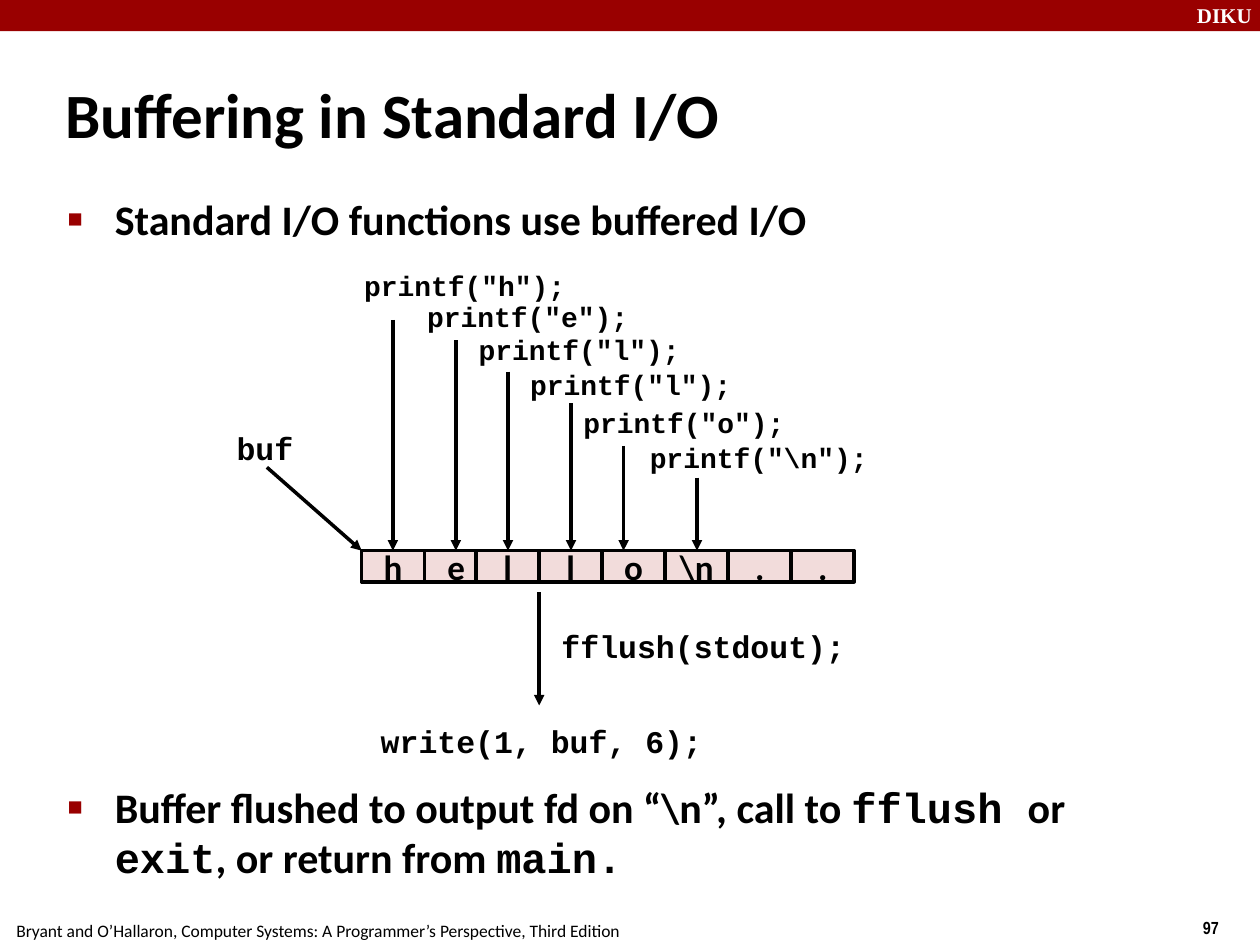
from lxml.etree import SubElement
from pptx import Presentation
from pptx.dml.color import RGBColor
from pptx.enum.shapes import MSO_CONNECTOR as Connector, MSO_SHAPE as Shape
from pptx.enum.text import MSO_ANCHOR as Anchor, MSO_AUTO_SIZE as AutoSize, PP_ALIGN as Align
from pptx.oxml.ns import qn
from pptx.util import Cm, Pt

RED = RGBColor(0x99, 0x00, 0x00)
PINK = RGBColor(0xF2, 0xDC, 0xDB)
BLACK = RGBColor(0, 0, 0)
WHITE = RGBColor(255, 255, 255)
SANS, CODE = "Calibri", "Courier New"


class SlideWriter:
    """Holds the style and the current slide; lengths are in centimetres."""

    def __init__(self, slide):
        self.slide = slide
        self.shapes = slide.shapes

    def style(self, paragraph, size, font=SANS, color=BLACK, bold=True, align=Align.LEFT):
        paragraph.alignment = align
        paragraph.font.name = font
        paragraph.font.size = Pt(size)
        paragraph.font.bold = bold
        paragraph.font.color.rgb = color

    def place(self, shape, left, top, width, height):
        shape.left, shape.top = Cm(left), Cm(top)
        shape.width, shape.height = Cm(width), Cm(height)

    def title(self, text, *box):
        heading = self.shapes.title
        self.place(heading, *box)
        frame = heading.text_frame
        frame.text = text
        frame.auto_size = AutoSize.NONE
        frame.vertical_anchor = Anchor.MIDDLE
        self.style(frame.paragraphs[0], 36)

    def bullets(self, items, gap, *box):
        """Each item is a list of (text, font) runs."""
        body = self.slide.placeholders[1]
        self.place(body, *box)
        frame = body.text_frame
        frame.auto_size = AutoSize.NONE
        for index, runs in enumerate(items):
            paragraph = frame.add_paragraph() if index else frame.paragraphs[0]
            self.square_bullet(paragraph)
            paragraph.space_before = Pt(gap if index else 0)
            self.style(paragraph, 24)
            for text, font in runs:
                run = paragraph.add_run()
                run.text = text
                if font != SANS:
                    run.font.name = font

    def square_bullet(self, paragraph):
        props = paragraph._p.get_or_add_pPr()
        props.set("marL", str(Cm(0.97)))
        props.set("indent", str(Cm(-0.95)))
        color = SubElement(props, qn("a:buClr"))
        SubElement(color, qn("a:srgbClr"), val=str(RED))
        SubElement(props, qn("a:buSzPct"), val="60000")
        SubElement(props, qn("a:buFont"), typeface="Arial")
        SubElement(props, qn("a:buChar"), char="■")

    def label(self, text, left, top, width, height, size, wrap=False, **style):
        box = self.shapes.add_textbox(Cm(left), Cm(top), Cm(width), Cm(height))
        frame = box.text_frame
        frame.word_wrap = wrap
        frame.text = text
        self.style(frame.paragraphs[0], size, **style)

    def rectangle(self, left, top, width, height, fill, text="", outline=None):
        box = self.shapes.add_shape(Shape.RECTANGLE, Cm(left), Cm(top), Cm(width), Cm(height))
        box.shadow.inherit = False
        box.fill.solid()
        box.fill.fore_color.rgb = fill
        if outline is None:
            box.line.fill.background()
        else:
            box.line.color.rgb = outline
            box.line.width = Pt(2)
        if text:
            frame = box.text_frame
            frame.word_wrap = False
            frame.vertical_anchor = Anchor.MIDDLE
            frame.text = text
            self.style(frame.paragraphs[0], 20, align=Align.CENTER)

    def arrow(self, x1, y1, x2, y2):
        line = self.shapes.add_connector(Connector.STRAIGHT, Cm(x1), Cm(y1), Cm(x2), Cm(y2))
        line.line.color.rgb = BLACK
        line.line.width = Pt(2)
        SubElement(line.line._get_or_add_ln(), qn("a:tailEnd"), type="triangle")
        SubElement(line._element.spPr, qn("a:effectLst"))


def main():
    deck = Presentation()
    deck.slide_width, deck.slide_height = Cm(25.4), Cm(19.05)
    page = SlideWriter(deck.slides.add_slide(deck.slide_layouts[1]))

    # Header band and footer
    page.rectangle(0, 0, 25.4, 0.63, RED)
    page.label("DIKU", 23.88, -0.08, 1.7, 0.76, 12, wrap=True, font="Times New Roman", color=WHITE)
    page.label("97", 24, 18.36, 1.9, 0.74, 10, font="Arial Narrow")
    page.label("Bryant and O’Hallaron, Computer Systems: A Programmer’s Perspective, Third Edition",
               0.08, 18.42, 12.67, 0.66, 10, bold=False)

    # Title and bullets, with room for the diagram between them
    page.title("Buffering in Standard I/O", 1.07, 1.22, 21.08, 2.11)
    page.bullets([
        [("Standard I/O functions use buffered I/O", SANS)],
        [("Buffer flushed to output fd on “\\n”, call to ", SANS), ("fflush ", CODE),
         ("or ", SANS), ("exit", CODE), (", or return from ", SANS), ("main.", CODE)],
    ], 307, 1.09, 3.78, 21.92, 14.63)

    # Buffer cells: the third one overlaps the second a little
    buffer_left, buffer_top, cell_width = 7.29, 11.1, 1.27
    overlap = 0.23
    for index, char in enumerate(["h", "e", "l", "l", "o", "\\n", ".", "."]):
        left = buffer_left + index * cell_width - (overlap if index >= 2 else 0)
        page.rectangle(left, buffer_top, cell_width, 0.63, PINK, char, BLACK)

    # Calls that fill the buffer: character, label left and top, arrow x and top
    calls = [
        ("h", 7.09, 5.28, 7.92, 6.45),
        ("e", 8.36, 5.92, 9.19, 6.86),
        ("l", 9.4, 6.58, 10.24, 7.49),
        ("l", 10.44, 7.29, 11.51, 8.13),
        ("o", 11.51, 8.05, 12.57, 8.99),
        ("\\n", 12.85, 8.76, 14.05, 9.63),
    ]
    for char, left, top, arrow_x, arrow_top in calls:
        width = 4.23 + 0.34 * len(char)
        page.label(f'printf("{char}");', left, top, width, 0.91, 16, font=CODE)
        page.arrow(arrow_x, arrow_top, arrow_x, buffer_top)

    # Pointer to the buffer start
    page.label("buf", 4.52, 8.53, 1.65, 1.02, 18, font=CODE)
    page.arrow(5.38, 9.42, buffer_left, buffer_top)

    # Flush to output
    page.arrow(10.87, 11.94, 10.87, 14.22)
    page.label("fflush(stdout);", 11.07, 12.52, 6.22, 1.02, 18, font=CODE)
    page.label("write(1, buf, 6);", 7.42, 14.43, 6.99, 1.02, 18, font=CODE, align=Align.CENTER)

    deck.save("out.pptx")


if __name__ == "__main__":
    main()
